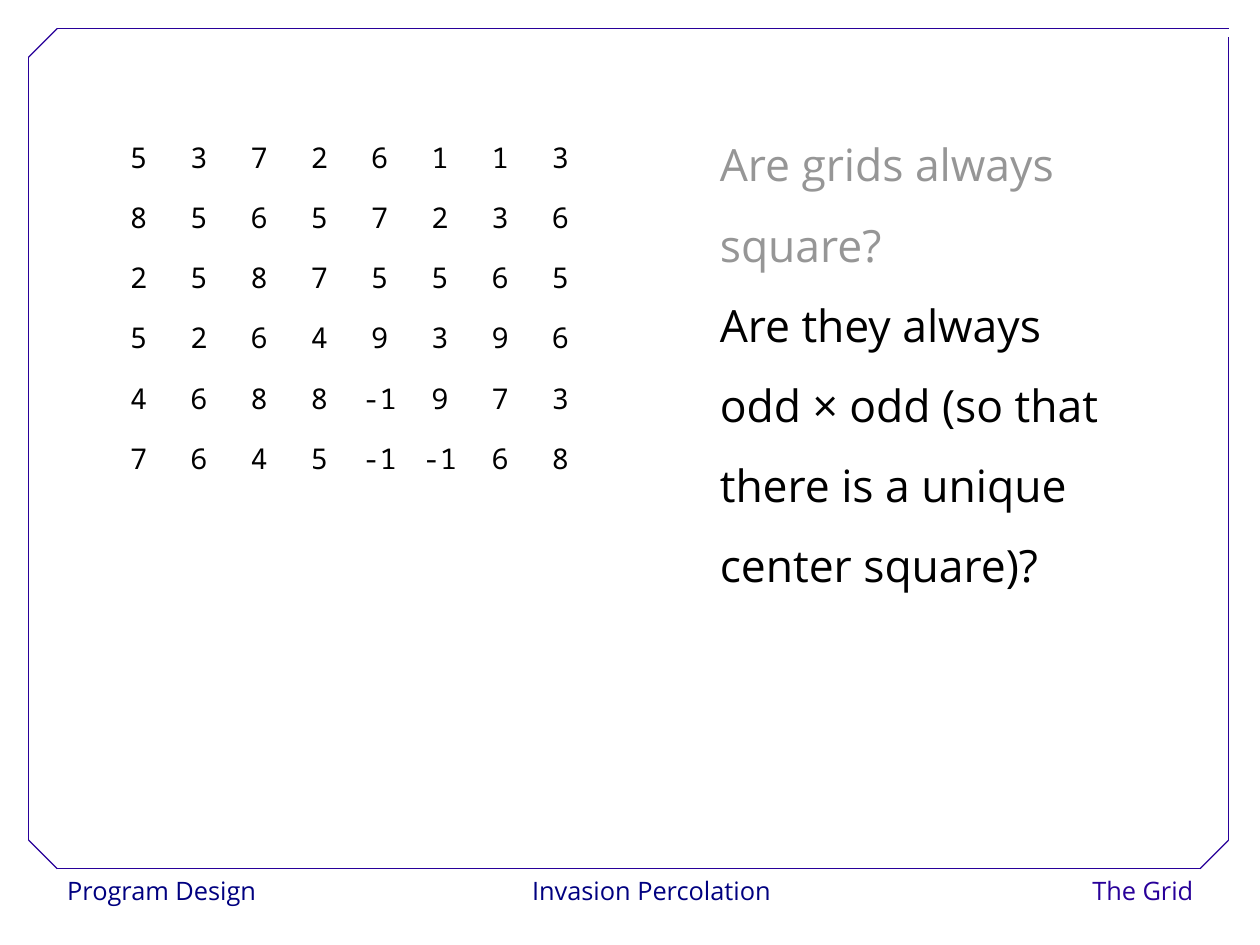
from lxml.etree import SubElement
from pptx import Presentation
from pptx.dml.color import RGBColor
from pptx.enum.shapes import MSO_CONNECTOR, MSO_SHAPE
from pptx.enum.text import MSO_ANCHOR, MSO_AUTO_SIZE, PP_ALIGN as ALIGN
from pptx.oxml.ns import qn
from pptx.util import Emu, Pt

PX = 9144  # EMU, 100 px to the inch
SLIDE_SIZE = Emu(10080625), Emu(7559675)  # 28 by 21 cm
NAVY, VIOLET, GREY, BLACK, WHITE = "000080", "280099", "969696", "000000", "FFFFFF"
SANS, MONO = "Open Sans", "Noto Sans Mono"

GRID = """
5 3 7 2 6 1 1 3
8 5 6 5 7 2 3 6
2 5 8 7 5 5 6 5
5 2 6 4 9 3 9 6
4 6 8 8 -1 9 7 3
7 6 4 5 -1 -1 6 8
"""
QUESTIONS = [
    ("Are grids always", GREY),
    ("square?", GREY),
    ("Are they always", BLACK),
    ("odd × odd (so that", BLACK),
    ("there is a unique", BLACK),
    ("center square)?", BLACK),
]


def px(*lengths):
    return [Emu(length * PX) for length in lengths]


def rgb(color):
    return RGBColor.from_string(color)


def write(paragraph, text, size, color, font=SANS, align=ALIGN.LEFT, spacing=1.02):
    paragraph.alignment = align
    paragraph.line_spacing = spacing
    run = paragraph.add_run()
    run.text = text
    for name, value in {"size": Pt(size), "name": font}.items():
        setattr(run.font, name, value)
    run.font.color.rgb = rgb(color)


def footer_label(slide, box, text, color, align):
    label = slide.shapes.add_shape(MSO_SHAPE.RECTANGLE, *px(*box))
    label.shadow.inherit = False
    label.fill.solid()
    label.fill.fore_color.rgb = rgb(WHITE)
    label.line.fill.background()
    frame = label.text_frame
    frame.word_wrap = False
    frame.vertical_anchor = MSO_ANCHOR.TOP
    write(frame.paragraphs[0], text, 16, color, align=align)


def border(slide, box, cut=25, gap=7):
    """Outline with three cut corners and a small gap at the top right."""
    left, top, width, height = box
    right, bottom = left + width, top + height
    corners = [
        (right, top), (left + cut, top), (left, top + cut), (left, bottom - cut),
        (left + cut, bottom), (right - cut, bottom), (right, bottom - cut),
        (right, top + gap),
    ]
    for start, end in zip(corners, corners[1:]):
        edge = slide.shapes.add_connector(MSO_CONNECTOR.STRAIGHT, *px(*start, *end))
        edge.line.color.rgb = rgb(VIOLET)
        edge.line.width = Pt(0.75)
        SubElement(edge._element.spPr, qn("a:effectLst"))


def questions(slide, box):
    frame = slide.shapes.add_textbox(*px(*box)).text_frame
    frame.word_wrap = False
    frame.auto_size = MSO_AUTO_SIZE.SHAPE_TO_FIT_TEXT
    for index, (text, color) in enumerate(QUESTIONS):
        paragraph = frame.add_paragraph() if index else frame.paragraphs[0]
        write(paragraph, text, 28, color, spacing=1.5)


def number_grid(slide, box):
    rows = [line.split() for line in GRID.strip().splitlines()]
    table = slide.shapes.add_table(len(rows), len(rows[0]), *px(*box)).table
    table.first_row = table.horz_banding = False
    for r, row in enumerate(rows):
        for c, number in enumerate(row):
            cell = table.cell(r, c)
            cell.fill.background()
            cell.vertical_anchor = MSO_ANCHOR.MIDDLE
            write(cell.text_frame.paragraphs[0], number, 18, BLACK, MONO, ALIGN.CENTER)


def main():
    deck = Presentation()
    deck.slide_width, deck.slide_height = SLIDE_SIZE
    slide = deck.slides.add_slide(deck.slide_layouts[6])
    footer_label(slide, (49, 760, 180, 40), "Program Design", NAVY, ALIGN.LEFT)
    footer_label(slide, (458, 760, 224, 40), "Invasion Percolation", NAVY, ALIGN.CENTER)
    footer_label(slide, (914, 760, 140, 40), "The Grid", VIOLET, ALIGN.RIGHT)
    border(slide, (25, 25, 1050, 735))
    questions(slide, (620, 92, 352, 431))
    number_grid(slide, (95, 111, 422, 316))
    deck.save("out.pptx")


if __name__ == "__main__":
    main()
